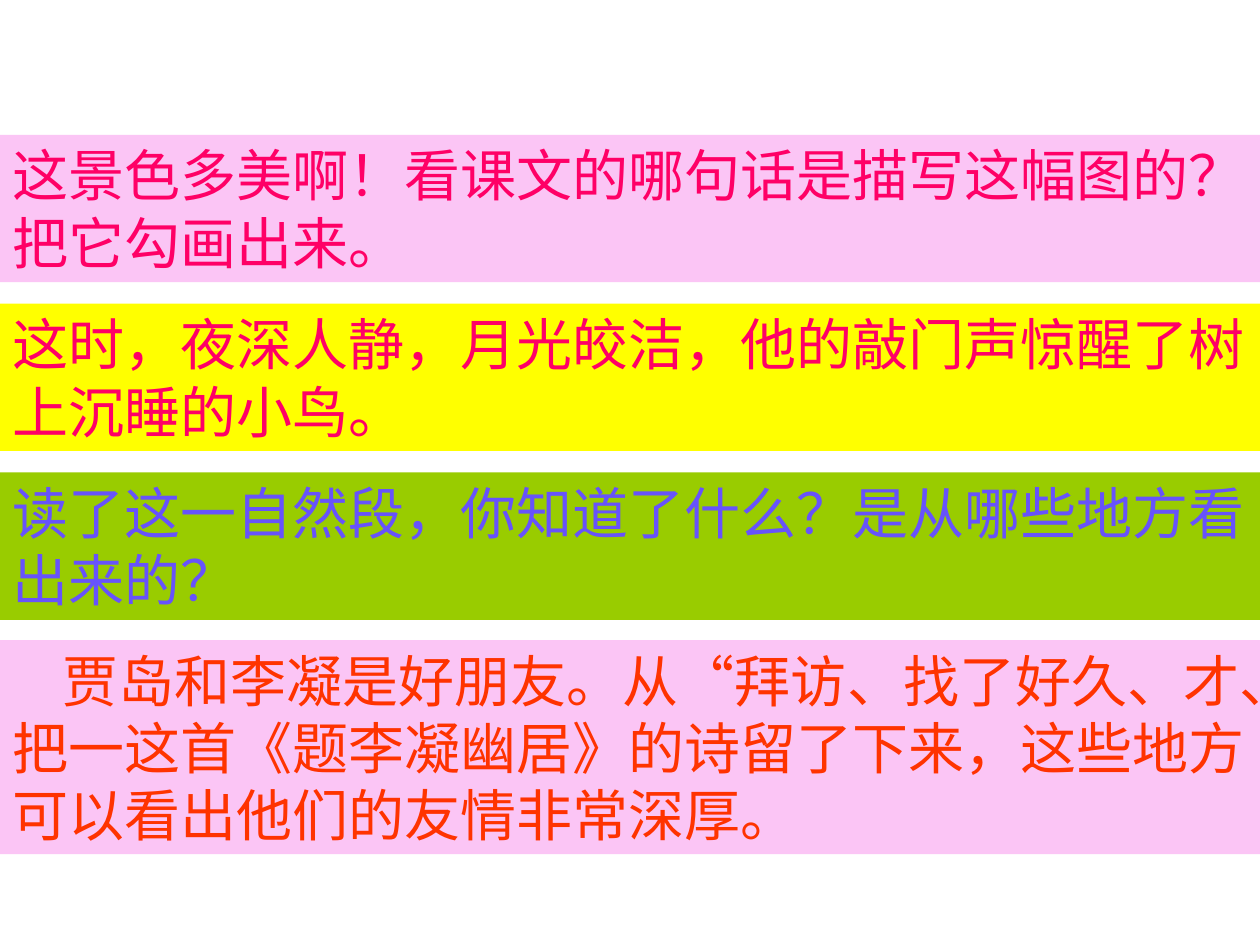
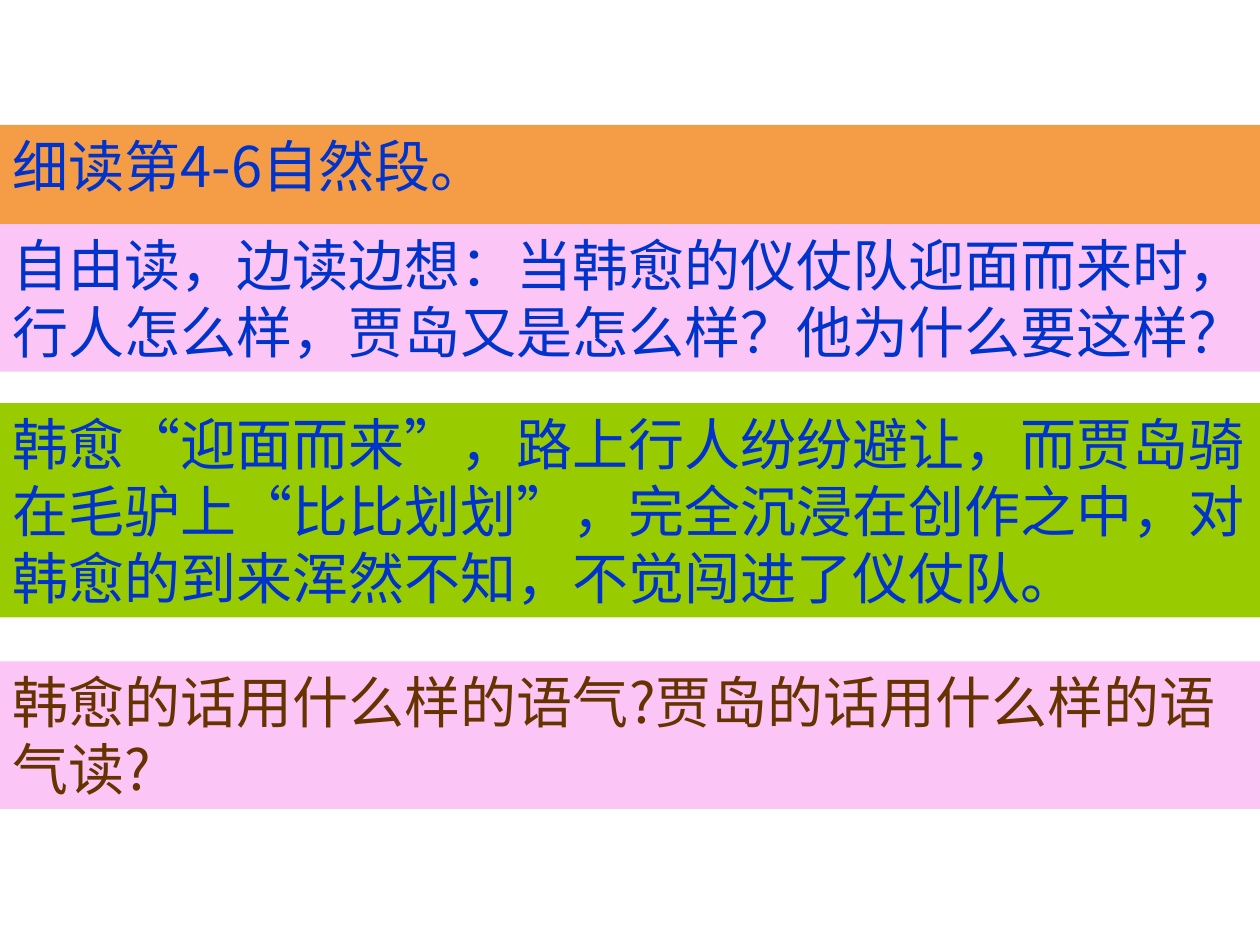
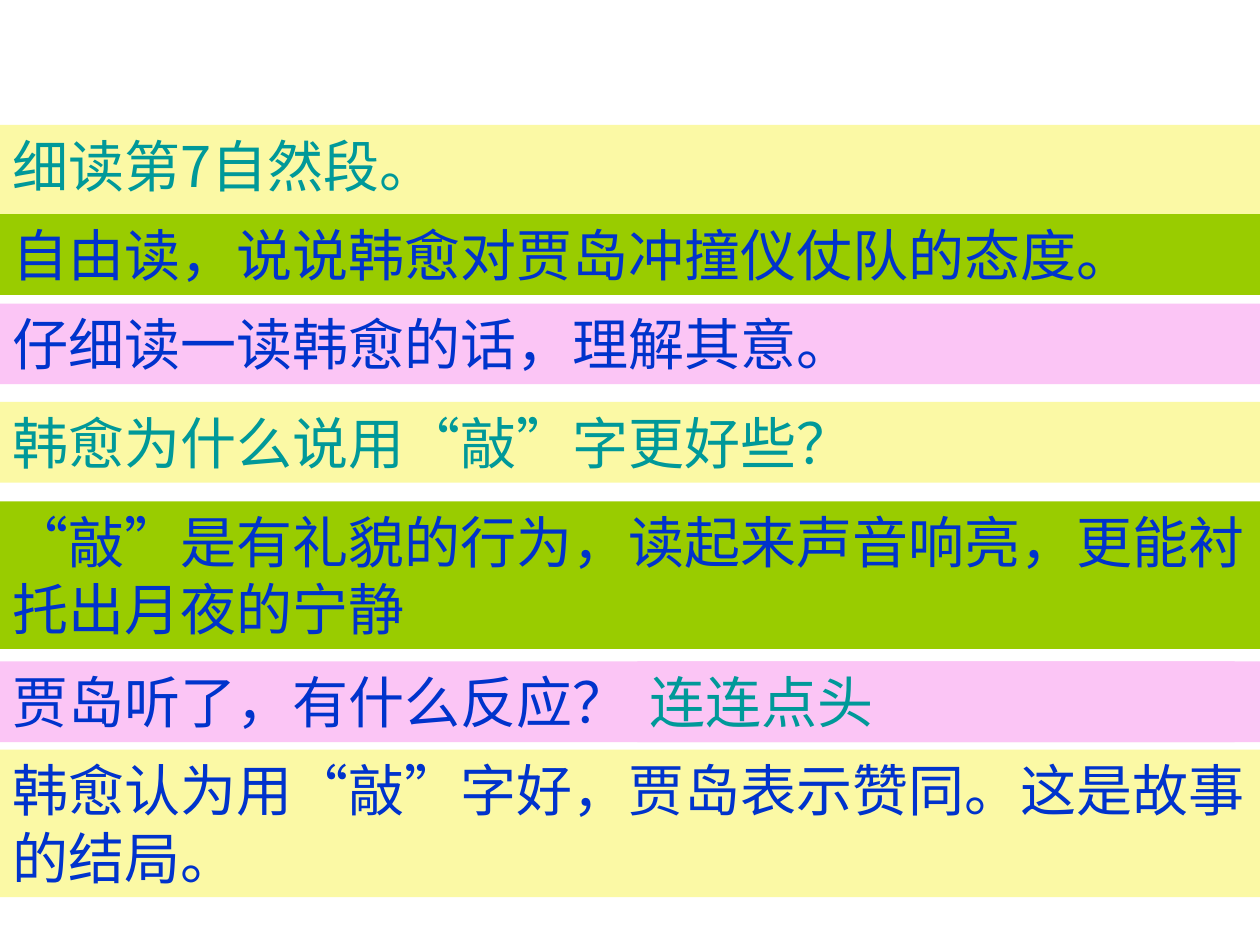
"""Build three reading-lesson slides made of full-width coloured question and answer bands."""
import pptx
import pptx.dml.color
import pptx.enum.lang
import pptx.enum.text
import pptx.oxml.ns
import pptx.util
from dataclasses import dataclass
from lxml import etree

Inches = pptx.util.Inches


@dataclass(frozen=True)
class Theme:
    font: str = "Noto Sans CJK SC"
    size: int = 32
    line_height: float = 0.53
    band_padding: float = 0.11
    page_width: float = 10
    page_height: float = 7.5
    pink: str = "FBC5F5"
    yellow: str = "FFFF00"
    cream: str = "FBF9A5"
    green: str = "99CC00"
    orange: str = "F49D46"
    rose: str = "FF0066"
    violet: str = "6753FB"
    red: str = "FF3300"
    blue: str = "0033CC"
    brown: str = "663300"
    teal: str = "009999"


theme = Theme()


def rgb(code):
    return pptx.dml.color.RGBColor.from_string(code)


def write_band(band, top, lines, fill, ink, words, left=0, width=theme.page_width, indent=0):
    band.left, band.top = Inches(left), Inches(top)
    band.width = Inches(width)
    band.height = Inches(theme.band_padding + theme.line_height * lines)
    band.fill.solid()
    band.fill.fore_color.rgb = rgb(fill)
    frame = band.text_frame
    frame.word_wrap = True
    frame.auto_size = pptx.enum.text.MSO_AUTO_SIZE.SHAPE_TO_FIT_TEXT
    frame.vertical_anchor = pptx.enum.text.MSO_ANCHOR.TOP
    paragraph = frame.paragraphs[0]
    paragraph.alignment = pptx.enum.text.PP_ALIGN.LEFT
    if indent:
        paragraph._p.get_or_add_pPr().set("indent", str(Inches(indent)))
    run = paragraph.add_run()
    run.text = words
    run.font.size = pptx.util.Pt(theme.size)
    run.font.color.rgb = rgb(ink)
    run.font.name = theme.font
    run.font.language_id = pptx.enum.lang.MSO_LANGUAGE_ID.SIMPLIFIED_CHINESE
    east_asian = etree.SubElement(run._r.get_or_add_rPr(), pptx.oxml.ns.qn("a:ea"))
    east_asian.set("typeface", theme.font)


lessons = [
    {
        "heading": None,
        "bands": [
            (1.07, 2, theme.pink, theme.rose, "这景色多美啊！看课文的哪句话是描写这幅图的？把它勾画出来。"),
            (2.41, 2, theme.yellow, theme.rose, "这时，夜深人静，月光皎洁，他的敲门声惊醒了树上沉睡的小鸟。"),
            (3.75, 2, theme.green, theme.violet, "读了这一自然段，你知道了什么？是从哪些地方看出来的？"),
            (5.08, 3, theme.pink, theme.red,
             "贾岛和李凝是好朋友。从“拜访、找了好久、才、把一这首《题李凝幽居》的诗留了下来，"
             "这些地方可以看出他们的友情非常深厚。", 0, theme.page_width, 0.4),
        ],
    },
    {
        "heading": (0.99, 1, theme.orange, theme.blue, "细读第4-6自然段。"),
        "bands": [
            (1.78, 2, theme.pink, theme.blue,
             "自由读，边读边想：当韩愈的仪仗队迎面而来时，行人怎么样，贾岛又是怎么样？他为什么要这样？"),
            (3.2, 3, theme.green, theme.blue,
             "韩愈“迎面而来”，路上行人纷纷避让，而贾岛骑在毛驴上“比比划划”，"
             "完全沉浸在创作之中，对韩愈的到来浑然不知，不觉闯进了仪仗队。"),
            (5.25, 2, theme.pink, theme.brown, "韩愈的话用什么样的语气?贾岛的话用什么样的语气读?"),
        ],
    },
    {
        "heading": (0.99, 1, theme.cream, theme.teal, "细读第7自然段。"),
        "bands": [
            (1.7, 1, theme.green, theme.blue, "自由读，说说韩愈对贾岛冲撞仪仗队的态度。"),
            (2.41, 1, theme.pink, theme.blue, "仔细读一读韩愈的话，理解其意。"),
            (3.19, 1, theme.cream, theme.teal, "韩愈为什么说用“敲”字更好些？"),
            (3.98, 2, theme.green, theme.blue, "“敲”是有礼貌的行为，读起来声音响亮，更能衬托出月夜的宁静"),
            (5.25, 1, theme.pink, theme.blue, "贾岛听了，有什么反应？", 0, 9.8),
            (5.25, 1, theme.pink, theme.teal, "连连点头", 5.06, 4.94),
            (5.95, 2, theme.cream, theme.blue, "韩愈认为用“敲”字好，贾岛表示赞同。这是故事的结局。"),
        ],
    },
]

deck = pptx.Presentation()
deck.slide_width = Inches(theme.page_width)
deck.slide_height = Inches(theme.page_height)
title_layout = deck.slide_layouts.get_by_name("Title Only")
blank_layout = deck.slide_layouts.get_by_name("Blank")

for lesson in lessons:
    slide = deck.slides.add_slide(title_layout if lesson["heading"] else blank_layout)
    if lesson["heading"]:
        write_band(slide.shapes.title, *lesson["heading"])
    for band_details in lesson["bands"]:
        write_band(slide.shapes.add_textbox(0, 0, 0, 0), *band_details)

deck.save("out.pptx")
